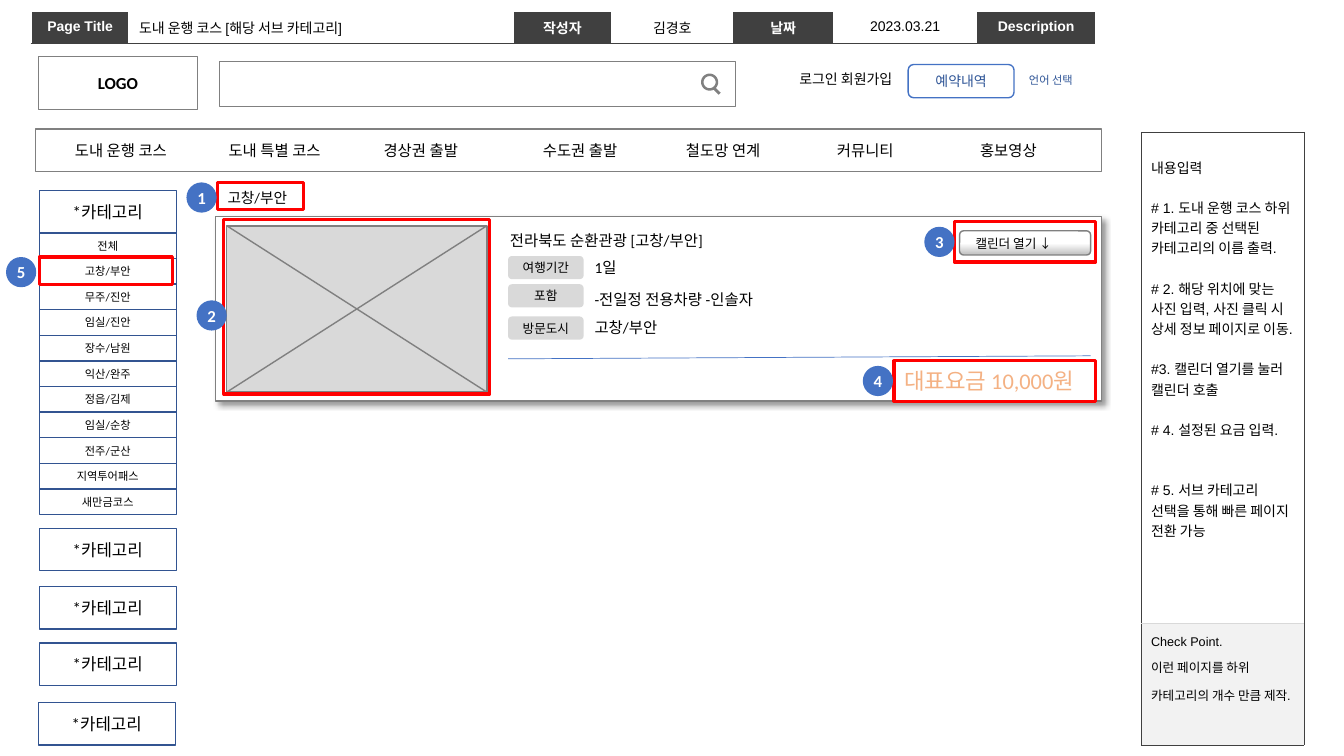
from dataclasses import dataclass
from math import cos, radians, sin

from lxml.etree import SubElement
from pptx import Presentation
from pptx.dml.color import RGBColor
from pptx.enum.shapes import MSO_CONNECTOR, MSO_SHAPE
from pptx.enum.text import MSO_ANCHOR, PP_ALIGN
from pptx.oxml import parse_xml
from pptx.oxml.ns import nsdecls, qn
from pptx.util import Emu, Inches, Pt

# The slide is a grid of 160 columns by 90 rows, each a twelfth of an inch
CELL = Inches(1) / 12
BLACK, WHITE, GRAY, DARK, LIGHT = "000000", "FFFFFF", "808080", "404040", "D9D9D9"
BLUE, NAVY, EDGE, RED, ORANGE = "4472C4", "2F5597", "325491", "FF0000", "F4B183"
CENTER, LEFT, RIGHT = PP_ALIGN.CENTER, PP_ALIGN.LEFT, PP_ALIGN.RIGHT
MIDDLE, TOP = MSO_ANCHOR.MIDDLE, MSO_ANCHOR.TOP


@dataclass
class Box:
    left: float
    top: float
    width: float
    height: float

    def inside(self, left, top, width, height):
        return Box(self.left + left, self.top + top, width, height)

    def lengths(self):
        return [grid(value) for value in (self.left, self.top, self.width, self.height)]


def grid(cells):
    return Emu(round(cells * CELL))


def color(value):
    return RGBColor.from_string(value)


# Building blocks
def write(paragraph, text, size=11, ink=BLACK, bold=False, name="Calibri", **layout):
    paragraph.text = text
    for attribute, value in layout.items():
        setattr(paragraph, attribute, value)
    for attribute, value in {"name": name, "size": Pt(size), "bold": bold}.items():
        setattr(paragraph.font, attribute, value)
    paragraph.font.color.rgb = color(ink)


def add_text(slide, box, text, anchor=TOP, alignment=LEFT, **font):
    frame = slide.shapes.add_textbox(*box.lengths()).text_frame
    frame.word_wrap = True
    frame.vertical_anchor = anchor
    write(frame.paragraphs[0], text, alignment=alignment, **font)


def add_box(slide, box, kind=MSO_SHAPE.RECTANGLE, fill=None, line=None, weight=1, text="", **font):
    shape = slide.shapes.add_shape(kind, *box.lengths())
    shape.shadow.inherit = False
    if fill:
        shape.fill.solid()
        shape.fill.fore_color.rgb = color(fill)
    else:
        shape.fill.background()
    if line:
        shape.line.color.rgb = color(line)
        shape.line.width = Pt(weight)
    else:
        shape.line.fill.background()
    if text:
        frame = shape.text_frame
        for side in ("left", "right", "top", "bottom"):
            setattr(frame, f"margin_{side}", 0)
        frame.vertical_anchor = MIDDLE
        write(frame.paragraphs[0], text, alignment=CENTER, **font)
    return shape


def add_line(slide, box, start, end, ink, weight):
    points = [grid(value) for x, y in (start, end) for value in (box.left + x, box.top + y)]
    line = slide.shapes.add_connector(MSO_CONNECTOR.STRAIGHT, *points)
    line.line.color.rgb = color(ink)
    line.line.width = Pt(weight)
    SubElement(line._element.spPr, qn("a:effectLst"))


def add_mark(slide, box, number, badge_left=-3.72, badge_top=0.6):
    add_box(slide, box, line=RED, weight=2.25)
    add_box(slide, box.inside(badge_left, badge_top, 3.6, 3.6), MSO_SHAPE.OVAL, BLUE,
            text=str(number), size=12, ink=WHITE, bold=True)


def add_table(slide, box, columns, rows):
    table = slide.shapes.add_table(len(rows), len(columns), *box.lengths()).table
    table.first_row = table.horz_banding = False
    for parts, attribute, lengths in ((table.columns, "width", columns), (table.rows, "height", rows)):
        for part, length in zip(parts, lengths):
            setattr(part, attribute, grid(length))
    return table


def format_cell(cell, fill, borders):
    cell.fill.solid()
    cell.fill.fore_color.rgb = color(fill)
    for index, (side, ink) in enumerate(borders.items()):
        cell._tc.get_or_add_tcPr().insert(index, parse_xml(
            f'<a:ln{side} {nsdecls("a")} w="3175"><a:solidFill><a:srgbClr val="{ink}"/>'
            f'</a:solidFill></a:ln{side}>'))


# Regions
def title_bar(slide, box):
    labels = ["Page Title", "도내 운행 코스 [해당 서브 카테고리]", "작성자", "김경호",
              "날짜", "2023.03.21", "Description", ""]
    columns = [11.64, 45.72, 11.76, 14.4, 12, 17.04, 14.16, 21.36]
    table = add_table(slide, box, columns, [box.height])
    for index, label in enumerate(labels):
        cell, heading = table.cell(0, index), index % 2 == 0
        format_cell(cell, DARK if heading else WHITE, {"B": DARK} if label else {})
        cell.vertical_anchor = MIDDLE
        write(cell.text_frame.paragraphs[0], label, 10, WHITE if heading else BLACK, heading,
              "Arial", alignment=LEFT if index == 1 else CENTER)


def search_icon(slide, x, y):
    def arc(radius, angles):
        return [(radius * cos(radians(a)), radius * sin(radians(a))) for a in angles]

    def place(points):
        return [(grid(x + across), grid(y + down)) for across, down in points]

    rim = place(arc(1.02, range(62, 404, 11)) + [(1.32, 1.26), (1.08, 1.5)])
    hole = place(arc(0.72, range(360, 0, -12)))
    builder = slide.shapes.build_freeform(*rim[0], scale=1.0)
    builder.add_line_segments(rim[1:], close=True)
    builder.move_to(*hole[0])
    builder.add_line_segments(hole[1:], close=True)
    icon = builder.convert_to_shape()
    icon.shadow.inherit = False
    icon.fill.solid()
    icon.fill.fore_color.rgb = color(GRAY)
    icon.line.fill.background()


def site_header(slide, box):
    add_box(slide, box.inside(0.36, 0, 18.96, 6.36), fill=WHITE, line=GRAY,
            text="LOGO", size=12, bold=True)
    add_box(slide, box.inside(21.96, 0.6, 61.44, 5.4), fill=WHITE, line=GRAY)
    search_icon(slide, box.left + 80.28, box.top + 3.06)
    add_text(slide, box.inside(84, 1.08, 19.2, 3.48), "로그인 회원가입",
             alignment=RIGHT, size=10, name="Arial")
    add_box(slide, box.inside(103.92, 0.96, 12.6, 3.96), MSO_SHAPE.ROUNDED_RECTANGLE,
            line=BLUE, text="예약내역", size=10, ink=NAVY)
    add_text(slide, box.inside(117.12, 1.44, 9.72, 2.88), "언어 선택", size=8, ink=NAVY)


def menu_bar(slide, box):
    add_box(slide, box, fill=WHITE, line=GRAY)
    centers = {"도내 운행 코스": 10.2, "도내 특별 코스": 28.5, "경상권 출발": 45.9,
               "수도권 출발": 64.86, "철도망 연계": 81.9, "커뮤니티": 98.82, "홍보영상": 115.86}
    for label, center in centers.items():
        add_text(slide, box.inside(center - 9, 0.84, 18, 3.48), label, MIDDLE, CENTER)


def sidebar(slide, box):
    for left, top in ((0, 0), (0, 40.2), (0, 47.16), (0, 53.88), (-0.12, 60.96)):
        add_box(slide, box.inside(left, top, box.width, 5.04), line=EDGE, text="*카테고리", size=12)
    courses = ["전체", "고창/부안", "무주/진안", "임실/진안", "장수/남원", "익산/완주",
               "정읍/김제", "임실/순창", "전주/군산", "지역투어패스", "새만금코스"]
    for index, course in enumerate(courses):
        add_box(slide, box.inside(0, 5.04 + 3.05 * index, box.width, 3.05),
                line=EDGE, text=course, size=8)
    add_mark(slide, box.inside(0, 7.92, 15.84, 3.24), 5, -3.96, 0)


def course_heading(slide, box):
    add_text(slide, box, "고창/부안", MIDDLE, size=10.5)
    add_mark(slide, box.inside(0, 0.36, 10.2, 3.24), 1, badge_top=0)


def course_card(slide, box):
    card = add_box(slide, box, fill=WHITE, line=GRAY)
    card._element.spPr.find(qn("a:effectLst")).append(parse_xml(
        f'<a:outerShdw {nsdecls("a")} blurRad="50800" dist="38100" dir="2700000" algn="tl">'
        '<a:srgbClr val="000000"><a:alpha val="40000"/></a:srgbClr></a:outerShdw>'))

    # Photo placeholder
    photo = box.inside(1.32, 1.08, 30.96, 19.8)
    add_box(slide, photo, MSO_SHAPE.FLOWCHART_PROCESS, LIGHT, GRAY)
    add_line(slide, photo, (0, 0), (photo.width, photo.height), GRAY, 1)
    add_line(slide, photo, (photo.width, 0), (0, photo.height), GRAY, 1)

    # Course details
    add_text(slide, box.inside(33.84, 1.08, 29.04, 3.48), "전라북도 순환관광 [고창/부안]")
    details = [("여행기간", 4.68, "1일", 4.32), ("포함", 8.04, "-전일정 전용차량 -인솔자", 8.16),
               ("방문도시", 11.88, "고창/부안", 11.52)]
    for label, label_top, value, value_top in details:
        add_box(slide, box.inside(34.8, label_top, 9, 2.76), MSO_SHAPE.ROUNDED_RECTANGLE,
                LIGHT, text=label, size=9)
        add_text(slide, box.inside(43.92, value_top, 26.04, 3.48), value)

    # Calendar button and price
    button = add_box(slide, box.inside(88.56, 1.68, 15.6, 2.88), MSO_SHAPE.ROUNDED_RECTANGLE, line=GRAY)
    button.fill.gradient()
    button.fill.gradient_angle = 90
    for stop, (position, ink) in zip(button.fill.gradient_stops, ((0, "BFBFBF"), (0.49, WHITE))):
        stop.position = position
        stop.color.rgb = color(ink)
    add_text(slide, box.inside(89.28, 1.68, 12, 3), "캘린더 열기 ↓", size=9)
    add_line(slide, box, (34.8, 16.92), (104.16, 16.56), BLUE, 0.5)
    add_text(slide, box.inside(80.76, 17.28, 30.96, 4.44), "대표요금 10,000원", size=16, ink=ORANGE)

    add_mark(slide, box.inside(0.96, 0.36, 31.68, 20.76), 2, -3.24, 9.6)
    add_mark(slide, box.inside(87.96, 0.6, 16.8, 4.8), 3, -3.6)
    add_mark(slide, box.inside(80.76, 17.16, 24, 4.8), 4)


def description_panel(slide, box):
    table = add_table(slide, box, [box.width], [58.44, 14.52])
    notes, check = table.cell(0, 0), table.cell(1, 0)
    format_cell(notes, WHITE, {"L": DARK, "R": DARK, "T": DARK, "B": LIGHT})
    format_cell(check, "F2F2F2", {"L": DARK, "R": DARK, "T": LIGHT, "B": DARK})
    notes.margin_top = Inches(0.25)
    lines = [("내용입력", 0), ("# 1. 도내 운행 코스 하위 카테고리 중 선택된 카테고리의 이름 출력.", 14.4),
             ("# 2. 해당 위치에 맞는 사진 입력, 사진 클릭 시 상세 정보 페이지로 이동.", 14.4),
             ("#3. 캘린더 열기를 눌러 캘린더 호출", 14.4), ("# 4. 설정된 요금 입력.", 14.4),
             ("# 5. 서브 카테고리 선택을 통해 빠른 페이지 전환 가능", 28.8)]
    checks = ["Check Point.", "이런 페이지를 하위 카테고리의 개수 만큼 제작."]
    for cell, size, items in ((notes, 10, [(text, {"space_before": Pt(gap)}) for text, gap in lines]),
                              (check, 9, [(text, {"line_spacing": 1.5}) for text in checks])):
        frame = cell.text_frame
        for index, (text, layout) in enumerate(items):
            paragraph = frame.add_paragraph() if index else frame.paragraphs[0]
            write(paragraph, text, size, name="Arial", **layout)


def main():
    presentation = Presentation()
    presentation.slide_width, presentation.slide_height = grid(160), grid(90)
    slide = presentation.slides.add_slide(presentation.slide_layouts[6])
    course_card(slide, Box(25.68, 25.8, 105.48, 21.96))
    course_heading(slide, Box(25.92, 21.36, 13.56, 4.32))
    site_header(slide, Box(4.2, 6.72, 126.96, 6.36))
    menu_bar(slide, Box(4.2, 15.36, 126.96, 5.04))
    title_bar(slide, Box(3.72, 1.32, 148.08, 3.84))
    sidebar(slide, Box(4.68, 22.68, 16.32, 66))
    description_panel(slide, Box(135.84, 15.72, 19.44, 72.96))
    presentation.save("out.pptx")


if __name__ == "__main__":
    main()
